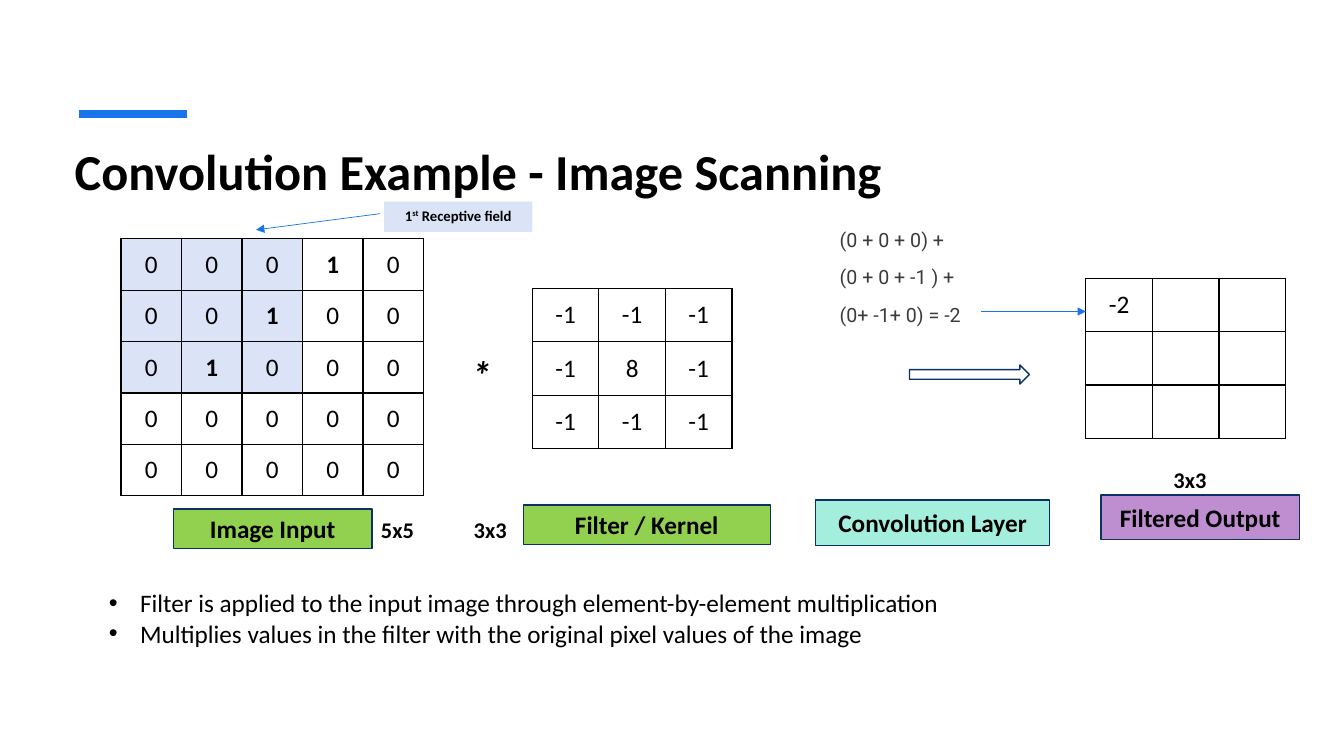
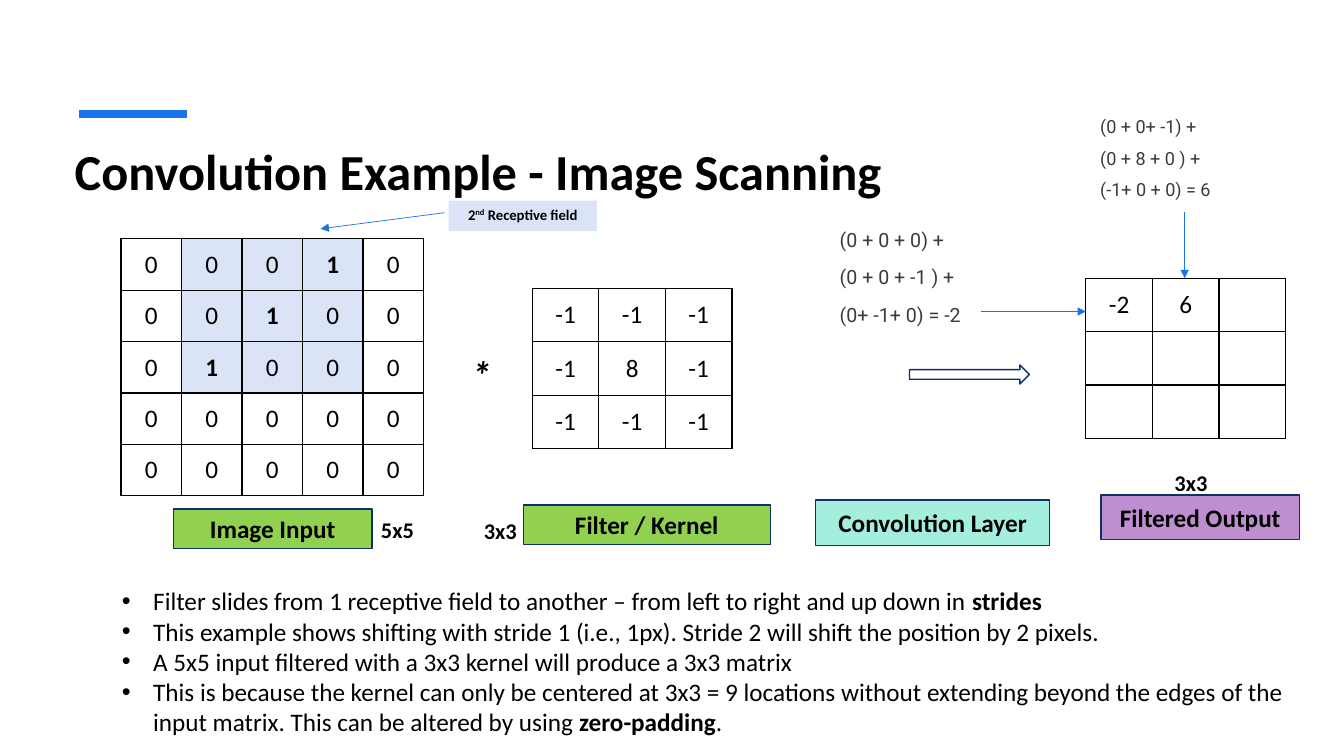
from pptx import Presentation
from pptx.dml.color import RGBColor
from pptx.enum import shapes as es, text as et
from pptx.oxml import parse_xml
from pptx.oxml.ns import nsdecls
from pptx.util import Inches, Pt

BLACK, GREY, BLUE, NAVY = "000000", "3B3B3D", "1973EB", "0B3267"
PALE, GREEN, MINT, MAUVE = "DBE4F7", "92D050", "A3EEDC", "BF8ED1"
MID, TOP = et.MSO_ANCHOR.MIDDLE, et.MSO_ANCHOR.TOP
LEFT, MIDDLE = et.PP_ALIGN.LEFT, et.PP_ALIGN.CENTER

TITLE = "Convolution Example - Image Scanning"
INPUT = ["00010", "00100", "01000", "00000", "00000"]
KERNEL = [["-1", "-1", "-1"], ["-1", "8", "-1"], ["-1", "-1", "-1"]]
LABELS = [
    ("Image Input", GREEN, (1.72, 5.05, 1.97, 0.39)),
    ("Filter / Kernel", GREEN, (5.19, 5.01, 2.45, 0.39)),
    ("Convolution Layer", MINT, (8.09, 4.96, 2.32, 0.45)),
    ("Filtered Output", MAUVE, (10.92, 4.91, 1.97, 0.44)),
]
SUM_ONE = ["(0 + 0 + 0) +", "(0 + 0 + -1 ) +", "(0+ -1+ 0) = -2"]
SUM_TWO = [" (0 + 0+ -1) +", " (0 + 8 + 0 ) +", " (-1+ 0 + 0) = 6"]

# A paragraph is a list of runs; a run is its text and any marks ("b" bold, "s" raised).
SLIDES = [
    dict(
        rank=("1", "st"), found=["-2"],
        sizes=[("5x5", 3.68, 5.07), ("3x3", 4.6, 5.07), ("3x3", 11.54, 4.57)],
        box=(0.98, 5.78, 11.91, 0.71),
        points=[
            [("Filter is applied to the input image through element-by-element multiplication", "")],
            [("Multiplies values in the filter with the original pixel values of the image", "")],
        ]),
    dict(
        rank=("2", "nd"), found=["-2", "6"],
        sizes=[("5x5", 3.68, 5.07), ("3x3", 4.7, 5.08), ("3x3", 11.55, 4.6)],
        box=(1.11, 5.76, 11.78, 1.62),
        points=[
            [("Filter slides from 1 receptive field to another – from left to right and up down in ", ""),
             ("strides", "b")],
            [("This example shows shifting with stride 1 (i.e., 1px). "
              "Stride 2 will shift the position by 2 pixels.", "")],
            [("A 5x5 input filtered with a 3x3 kernel will produce a 3x3 matrix", "")],
            [("This is because the kernel can only be centered at 3x3 = 9 locations without extending "
              "beyond the edges of the input matrix. This can be altered by using ", ""),
             ("zero-padding", "b"), (".", "")],
        ]),
]


def rgb(code):
    return RGBColor.from_string(code)


def place(shape, box):
    shape.left, shape.top, shape.width, shape.height = map(Inches, box)


def write(frame, paras, size, color=BLACK, font="Calibri", align=LEFT, anchor=TOP,
          before=0, lead=None, bullet=False):
    frame.word_wrap = True
    frame.vertical_anchor = anchor
    for i, runs in enumerate(paras):
        para = frame.add_paragraph() if i else frame.paragraphs[0]
        para.alignment, para.space_before = align, Pt(before)
        if lead:
            para.line_spacing = lead
        if bullet:
            props = para._p.get_or_add_pPr()
            props.set("marL", str(Inches(0.31)))
            props.set("indent", str(-Inches(0.31)))
            props.append(parse_xml(f'<a:buFont {nsdecls("a")} typeface="Arial"/>'))
            props.append(parse_xml(f'<a:buChar {nsdecls("a")} char="•"/>'))
        for words, marks in runs:
            run = para.add_run()
            run.text = words
            face = run.font
            face.name, face.size, face.bold = font, Pt(size), "b" in marks
            face.italic = "i" in marks
            face.color.rgb = rgb(color)
            if "s" in marks:
                run._r.get_or_add_rPr().set("baseline", "30000")


def note(slide, box, paras, size, **style):
    frame = slide.shapes.add_textbox(*map(Inches, box)).text_frame
    write(frame, paras, size, before=10, **style)


def block(slide, box, fill=None, line=None, kind=es.MSO_SHAPE.RECTANGLE):
    shape = slide.shapes.add_shape(kind, *map(Inches, box))
    shape.shadow.inherit = False
    for part, color in ((shape.fill, fill), (shape.line.fill, line)):
        if color:
            part.solid()
            part.fore_color.rgb = rgb(color)
        else:
            part.background()
    if line:
        shape.line.width = Pt(1)
    return shape


def rule(slide, start, end, width, head=True):
    line = slide.shapes.add_connector(es.MSO_CONNECTOR.STRAIGHT, *map(Inches, start + end))
    line.line.color.rgb = rgb(BLUE)
    line.line.width = Pt(width)
    if head:
        line.line._get_or_add_ln().append(
            parse_xml(f'<a:tailEnd {nsdecls("a")} type="triangle"/>'))
    line._element.spPr.append(parse_xml(f'<a:effectLst {nsdecls("a")}/>'))
    return line


def edge(cell):
    """Draw a thin black border on all four sides."""
    props = cell._tc.get_or_add_tcPr()
    for side in "LRTB":
        props.append(parse_xml(
            f'<a:ln{side} {nsdecls("a")} w="12700"><a:solidFill>'
            f'<a:srgbClr val="{BLACK}"/></a:solidFill></a:ln{side}>'))


def matrix(slide, left, top, wide, high, rows, field=None, bold=""):
    """Draw a grid of numbers; field is the first column of a shaded 3x3 area."""
    n = len(rows)
    box = map(Inches, (left, top, wide * n, high * n))
    table = slide.shapes.add_table(n, n, *box).table
    table.first_row = table.horz_banding = False
    for i in range(n):
        table.columns[i].width, table.rows[i].height = Inches(wide), Inches(high)
        for j in range(n):
            cell = table.cell(i, j)
            edge(cell)
            if field is not None and i < 3 and field <= j < field + 3:
                cell.fill.solid()
                cell.fill.fore_color.rgb = rgb(PALE)
            else:
                cell.fill.background()
            cell.vertical_anchor = MID
            if rows[i][j]:
                marks = "b" if rows[i][j] == bold else ""
                write(cell.text_frame, [[(rows[i][j], marks)]], 18, align=MIDDLE, anchor=MID)


def build(deck, layout, step, data):
    slide = deck.slides.add_slide(layout)
    title, body = slide.placeholders
    write(title.text_frame, [[(TITLE, "b")]], 36)
    title.text_frame.auto_size = et.MSO_AUTO_SIZE.NONE
    place(body, data["box"])
    write(body.text_frame, data["points"], 18, bullet=True)
    body.text_frame.auto_size = et.MSO_AUTO_SIZE.SHAPE_TO_FIT_TEXT

    found = data["found"] + [""] * (9 - len(data["found"]))
    matrix(slide, 1.2, 2.37, 0.6, 0.51, INPUT, field=step, bold="1")
    matrix(slide, 5.28, 2.86, 0.66, 0.53, KERNEL)
    matrix(slide, 10.77, 2.76, 0.66, 0.53, [found[i:i + 3] for i in (0, 3, 6)])
    for name, fill, box in LABELS:
        write(block(slide, box, fill, NAVY).text_frame, [[(name, "b")]], 18,
              align=MIDDLE, anchor=MID)
    for size, left, top in data["sizes"]:
        note(slide, (left, top, 0.58, 0.39), [[(size, "b")]], 16)
    note(slide, (4.58, 3.43, 0.39, 0.67), [[("*", "bi")]], 28)
    block(slide, (9.02, 3.62, 1.19, 0.19), line=NAVY, kind=es.MSO_SHAPE.RIGHT_ARROW)

    note(slide, (8.23, 2.21, 2.02, 1.12), [[(s, "")] for s in SUM_ONE], 14,
         color=GREY, font="Roboto")
    rule(slide, (9.73, 3.09), (10.77, 3.09), 0.5)
    if step:
        note(slide, (10.77, 1.14, 1.97, 0.96), [[(s, "")] for s in SUM_TWO], 12.9,
             color=GREY, font="Roboto", lead=0.8)
        rule(slide, (11.75, 2.1), (11.75, 2.76), 0.5)

    dx, dy = 0.64 * step, -0.01 * step
    digit, suffix = data["rank"]
    tag = block(slide, (3.81 + dx, 2 + dy, 1.47, 0.3), PALE)
    write(tag.text_frame, [[(digit, "b"), (suffix, "bs"), (" Receptive field", "b")]], 10.5,
          align=MIDDLE, before=10)
    rule(slide, (3.77 + dx, 2.12 + dy), (2.54 + dx, 2.28 + dy), 0.5)
    return slide


def main():
    deck = Presentation()
    deck.slide_width, deck.slide_height = Inches(13.33), Inches(7.5)
    layout = deck.slide_layouts[1]
    place(layout.placeholders[0], (0.64, 1.34, 11.91, 0.63))
    for step, data in enumerate(SLIDES):
        slide = build(deck, layout, step, data)
    # The accent bar moves to the layout, so every slide shows it.
    bar = rule(slide, (0.78, 1.13), (1.85, 1.13), 6, head=False)
    layout.shapes.element.append(bar.element)
    deck.save("out.pptx")


if __name__ == "__main__":
    main()
